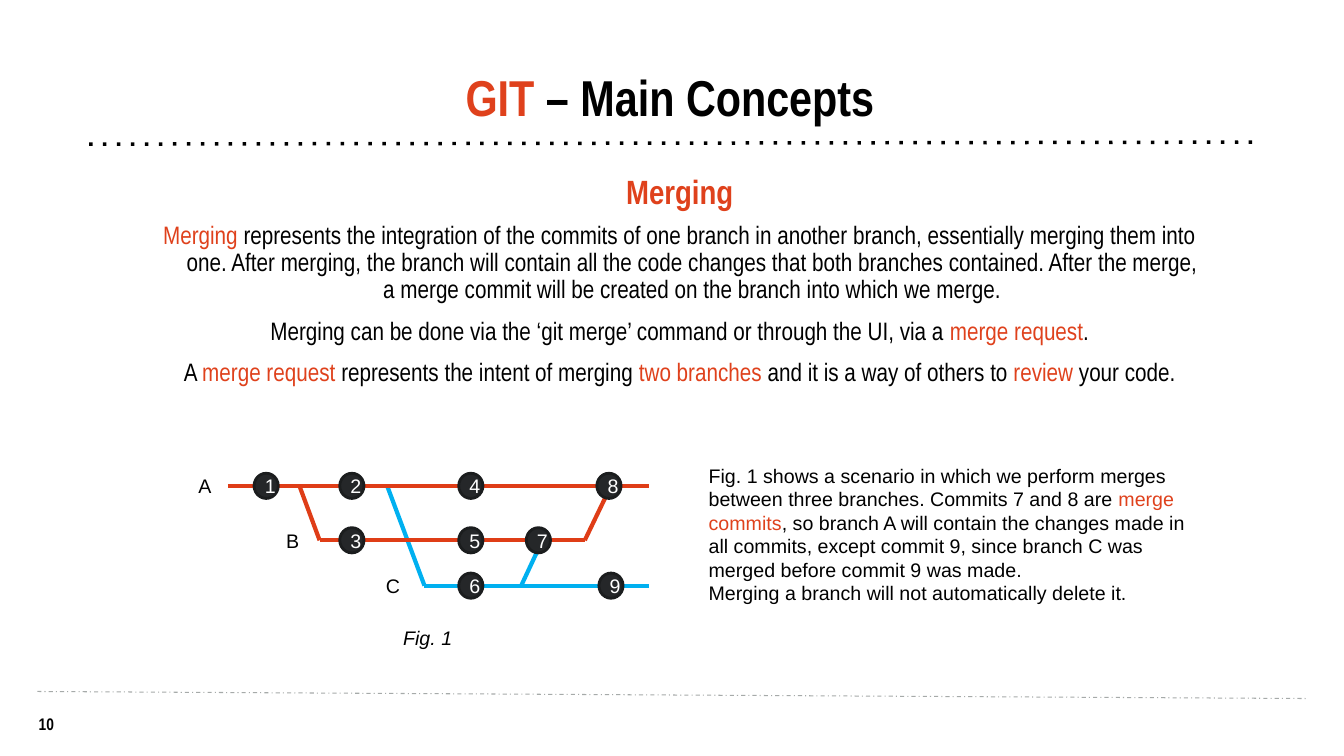
from dataclasses import dataclass

import pptx
import pptx.dml.color
import pptx.enum.shapes
import pptx.enum.text
import pptx.util
from lxml import etree
from pptx.oxml.ns import qn
from pptx.util import Inches


@dataclass(frozen=True)
class Theme:
    accent: str = "DF411C"
    text: str = "000000"
    white: str = "FFFFFF"
    red: str = "DF3D17"
    blue: str = "00B0F0"
    commit_fill: str = "252729"
    commit_line: str = "1B1D1E"
    footer_line: str = "A6AAA9"
    heading_font: str = "Arial Narrow"
    plain_font: str = "Arial"
    title: int = 36
    subtitle: int = 24
    body: int = 18
    label: int = 14
    page: int = 12


theme = Theme()
RGB = pptx.dml.color.RGBColor.from_string
CENTER = pptx.enum.text.PP_ALIGN.CENTER
LEFT = pptx.enum.text.PP_ALIGN.LEFT
BOTTOM = pptx.enum.text.MSO_ANCHOR.BOTTOM


def write(frame, paragraphs, size, font=theme.plain_font, align=LEFT, bold=False,
          italic=False, spacing=None, hanging=False, margins=None):
    """Fill a text frame; each paragraph is a list of (text, colour) runs."""
    frame.word_wrap = True
    if margins is not None:
        (frame.margin_left, frame.margin_top,
         frame.margin_right, frame.margin_bottom) = map(Inches, margins)
    for index, runs in enumerate(paragraphs):
        paragraph = frame.add_paragraph() if index else frame.paragraphs[0]
        paragraph.alignment = align
        if spacing:
            paragraph.line_spacing = spacing
        if hanging:
            properties = paragraph._p.get_or_add_pPr()
            properties.set("marL", str(Inches(0.5)))
            properties.set("indent", str(Inches(-0.25)))
            if index:
                paragraph.space_before = pptx.util.Pt(10)
        for text, color in runs:
            run = paragraph.add_run()
            run.text = text
            run.font.size = pptx.util.Pt(size)
            run.font.name = font
            run.font.bold = bold
            run.font.italic = italic
            run.font.color.rgb = RGB(color)


def add_line(shapes, start, end, color, width, dash=None):
    connector = shapes.add_connector(
        pptx.enum.shapes.MSO_CONNECTOR.STRAIGHT, *map(Inches, start + end))
    connector.line.color.rgb = RGB(color)
    connector.line.width = pptx.util.Pt(width)
    properties = connector._element.spPr
    if dash:
        etree.SubElement(properties.find(qn("a:ln")), qn("a:prstDash")).set("val", dash)
    etree.SubElement(properties, qn("a:effectLst"))


presentation = pptx.Presentation()
presentation.slide_width = Inches(13.33)
presentation.slide_height = Inches(7.5)
slide = presentation.slides.add_slide(presentation.slide_layouts[5])
shapes = slide.shapes

# Title, page number and rules
title = shapes.title
title.left, title.top, title.width, title.height = map(Inches, (1.32, 0.17, 10.75, 1.12))
title.text_frame.auto_size = pptx.enum.text.MSO_AUTO_SIZE.NONE
title.text_frame.vertical_anchor = BOTTOM
text_margins = (0, 0.05, 0.1, 0.05)
write(title.text_frame, [[("GIT", theme.accent), (" – Main Concepts", theme.text)]],
      theme.title, theme.heading_font, CENTER, bold=True, spacing=0.7, margins=text_margins)

page_number = shapes.add_textbox(*map(Inches, (0.22, 7.08, 0.48, 0.2)))
write(page_number.text_frame, [[("10", theme.text)]], theme.page, theme.heading_font,
      CENTER, bold=True, margins=(0, 0, 0, 0))
add_line(shapes, (0.37, 6.86), (12.98, 6.93), theme.footer_line, 0.75, "dashDot")
add_line(shapes, (12.42, 1.41), (0.88, 1.43), theme.text, 2.5, "dot")

# Explanation
subtitle = shapes.add_textbox(*map(Inches, (1.29, 1.69, 10.75, 0.46)))
subtitle.text_frame.vertical_anchor = BOTTOM
write(subtitle.text_frame, [[("Merging", theme.accent)]], theme.subtitle, theme.heading_font,
      CENTER, bold=True, spacing=0.9, hanging=True, margins=text_margins)

explanation = shapes.add_textbox(*map(Inches, (1.29, 2.16, 10.75, 2.01)))
write(explanation.text_frame, [
    [("Merging ", theme.accent),
     ("represents the integration of the commits of one branch in another branch, "
      "essentially merging them into one. After merging, the branch will contain all "
      "the code changes that both branches contained. After the merge, a merge commit "
      "will be created on the branch into which we merge.", theme.text)],
    [("Merging can be done via the ‘git merge’ command or through the UI, via a ", theme.text),
     ("merge request", theme.accent), (".", theme.text)],
    [("A ", theme.text), ("merge request ", theme.accent),
     ("represents the intent of merging ", theme.text), ("two branches ", theme.accent),
     ("and it is a way of others to ", theme.text), ("review", theme.accent),
     (" your code.", theme.text)],
], theme.body, theme.heading_font, CENTER, spacing=0.9, hanging=True, margins=text_margins)

# Branch diagram: lines first, commits on top
row_a, row_b, row_c = 4.82, 5.36, 5.81
branch_lines = [
    ((3.84, row_a), (4.21, row_c), theme.blue),
    ((4.21, row_c), (6.44, row_c), theme.blue),
    ((5.38, row_b), (5.17, row_c), theme.blue),
    ((2.26, row_a), (6.44, row_a), theme.red),
    ((2.97, row_a), (3.17, row_b), theme.red),
    ((3.17, row_b), (5.8, row_b), theme.red),
    ((6.06, row_a), (5.8, row_b), theme.red),
]
for start, end, color in branch_lines:
    add_line(shapes, start, end, color, 3)

commit_width, commit_height = 0.24, 0.25
commit_centers = [
    (2.64, row_a), (3.49, row_a), (3.49, row_b), (4.67, row_a), (4.67, row_b),
    (4.67, row_c), (5.34, row_b), (6.04, row_a), (6.06, row_c),
]
for number, (x, y) in enumerate(commit_centers, start=1):
    commit = shapes.add_shape(
        pptx.enum.shapes.MSO_SHAPE.OVAL,
        Inches(x - commit_width / 2), Inches(y - commit_height / 2),
        Inches(commit_width), Inches(commit_height))
    commit.shadow.inherit = False
    commit.fill.solid()
    commit.fill.fore_color.rgb = RGB(theme.commit_fill)
    commit.line.color.rgb = RGB(theme.commit_line)
    commit.line.width = pptx.util.Pt(2)
    write(commit.text_frame, [[(str(number), theme.white)]], theme.label, align=CENTER)

for name, left, top in (("A", 1.87, 4.65), ("B", 2.74, 5.2), ("C", 3.73, 5.64)):
    branch_label = shapes.add_textbox(*map(Inches, (left, top, 0.39, 0.34)))
    write(branch_label.text_frame, [[(name, theme.text)]], theme.label)

caption = shapes.add_textbox(*map(Inches, (3.9, 6.16, 0.69, 0.34)))
write(caption.text_frame, [[("Fig. 1", theme.text)]], theme.label, italic=True)
caption.text_frame.word_wrap = False

scenario = shapes.add_textbox(*map(Inches, (6.93, 4.55, 5.11, 1.51)))
write(scenario.text_frame, [
    [("Fig. 1 shows a scenario in which we perform merges between three branches. "
      "Commits 7 and 8 are ", theme.text),
     ("merge commits", theme.accent),
     (", so branch A will contain the changes made in all commits, except commit 9, "
      "since branch C was merged before commit 9 was made.", theme.text)],
    [("Merging a branch will not automatically delete it.", theme.text)],
], theme.label)

presentation.save("out.pptx")
